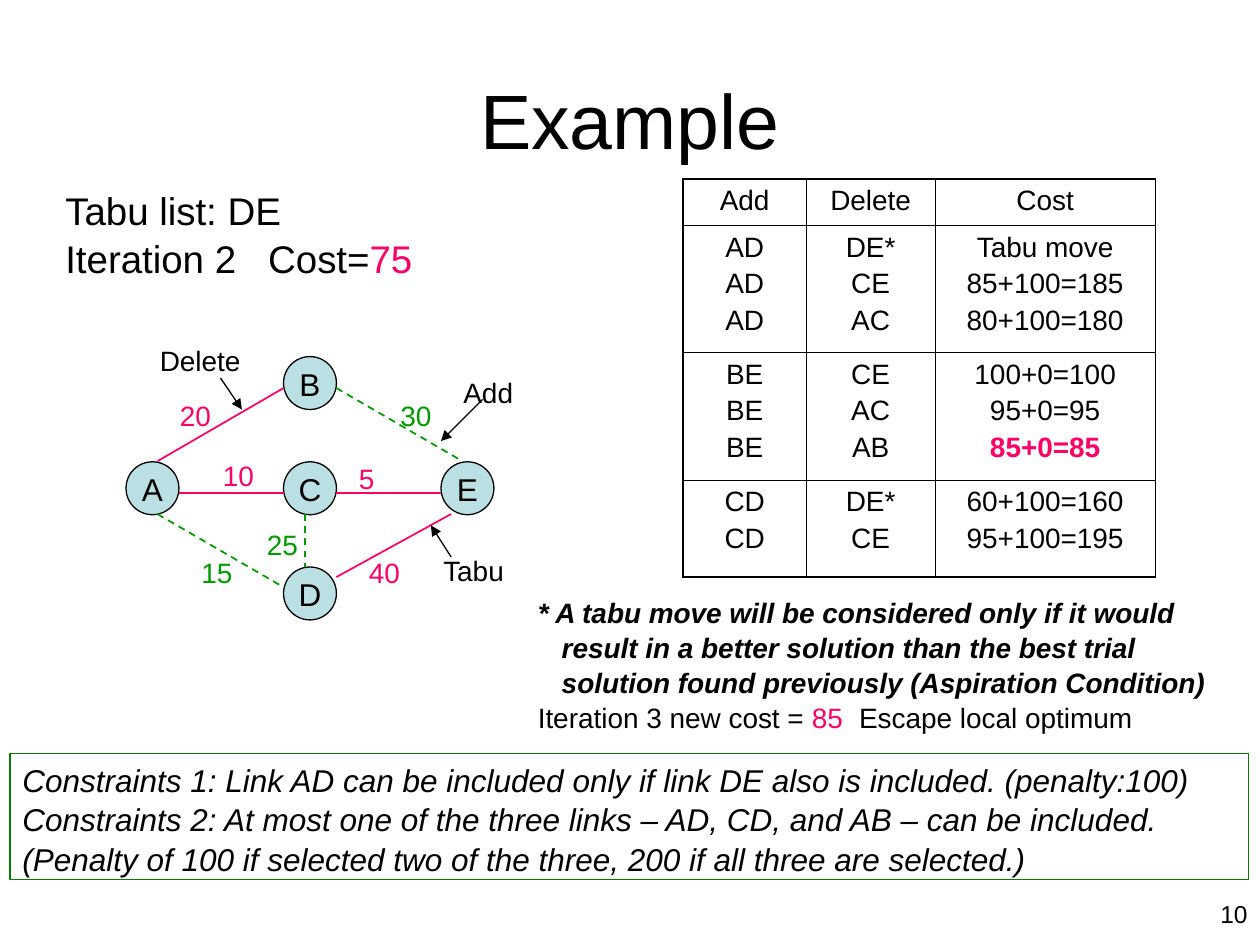
from dataclasses import dataclass

from lxml import etree
from pptx import Presentation
from pptx.dml.color import RGBColor
from pptx.enum import dml, shapes, text
from pptx.oxml import ns
from pptx.util import Inches, Pt


@dataclass(frozen=True)
class Theme:
    """Colours, type sizes and line widths of the slide."""
    font: str = "Arial"
    ink: str = "000000"
    active: str = "FF0066"
    unused: str = "009900"
    node: str = "BBE0E3"
    frame: str = "008000"
    title: float = 44
    status: float = 22
    body: float = 18
    label: float = 16
    number: float = 14
    line_spacing: float = 1.04
    thin: float = 0.75
    link: float = 1
    outer_border: float = 1.08
    inner_border: float = 0.45


THEME = Theme()


def rgb(value):
    """Turn a hex string into a colour."""
    return RGBColor.from_string(value)


def add_element(parent, tag, **attributes):
    """Append a DrawingML element."""
    return etree.SubElement(parent, ns.qn(tag), attributes)


def format_paragraph(paragraph, size, color=THEME.ink, bold=False, italic=False,
                     align=text.PP_ALIGN.LEFT, spacing=THEME.line_spacing):
    """Set the alignment, line spacing and font of a paragraph."""
    paragraph.alignment = align
    paragraph.line_spacing = spacing
    font = paragraph.font
    font.name, font.size = THEME.font, Pt(size)
    font.bold, font.italic = bold, italic
    font.color.rgb = rgb(color)


def add_runs(paragraph, parts):
    """Fill a paragraph with text, colouring the parts given as (text, colour)."""
    for part in parts:
        content, color = part if isinstance(part, tuple) else (part, None)
        run = paragraph.add_run()
        run.text = content
        if color:
            run.font.color.rgb = rgb(color)


def add_tab_stop(paragraph, position):
    """Give a paragraph one left tab stop."""
    tabs = add_element(paragraph._p.get_or_add_pPr(), "a:tabLst")
    add_element(tabs, "a:tab", pos=str(Inches(position)), algn="l")


def add_text_box(slide, left, top, width, height):
    """Add a wrapping text box and return its text frame."""
    box = slide.shapes.add_textbox(*map(Inches, (left, top, width, height)))
    box.text_frame.word_wrap = True
    return box.text_frame


def add_label(slide, content, box, size=THEME.label, color=THEME.ink, align=text.PP_ALIGN.LEFT):
    """Add a one-line text box."""
    paragraph = add_text_box(slide, *box).paragraphs[0]
    paragraph.text = content
    format_paragraph(paragraph, size, color, align=align)


def add_line(slide, start, end, color, width, dashed=False, arrow=False):
    """Draw a straight connector between two points."""
    line = slide.shapes.add_connector(
        shapes.MSO_CONNECTOR.STRAIGHT, *map(Inches, (*start, *end)))
    line.line.color.rgb = rgb(color)
    line.line.width = Pt(width)
    if dashed:
        line.line.dash_style = dml.MSO_LINE.DASH
    if arrow:
        add_element(line.line._get_or_add_ln(), "a:tailEnd", type="triangle")
    add_element(line._element.spPr, "a:effectLst")


def add_title(slide, box):
    """Place and format the slide title."""
    title = slide.shapes.title
    title.left, title.top, title.width, title.height = map(Inches, box)
    title.text_frame.text = "Example"
    title.text_frame.vertical_anchor = text.MSO_ANCHOR.MIDDLE
    format_paragraph(title.text_frame.paragraphs[0], THEME.title, align=text.PP_ALIGN.CENTER)


def add_status(slide, box):
    """Show the tabu list and the current cost."""
    frame = add_text_box(slide, *box)
    add_runs(frame.paragraphs[0], ["Tabu list: DE"])
    cost = frame.add_paragraph()
    add_runs(cost, ["Iteration 2\tCost=", ("75", THEME.active)])
    add_tab_stop(cost, 1.61)
    for paragraph in frame.paragraphs:
        format_paragraph(paragraph, THEME.status)


def add_node(slide, name, left, top, diameter):
    """Draw one lettered node."""
    node = slide.shapes.add_shape(
        shapes.MSO_SHAPE.OVAL, *map(Inches, (left, top, diameter, diameter)))
    node.shadow.inherit = False
    node.fill.solid()
    node.fill.fore_color.rgb = rgb(THEME.node)
    node.line.color.rgb = rgb(THEME.ink)
    node.line.width = Pt(THEME.thin)
    frame = node.text_frame
    frame.margin_left = frame.margin_right = frame.margin_top = frame.margin_bottom = 0
    frame.vertical_anchor = text.MSO_ANCHOR.MIDDLE
    frame.text = name
    format_paragraph(frame.paragraphs[0], THEME.body, align=text.PP_ALIGN.CENTER)


def add_network(slide, box):
    """Draw the network with its link costs and callouts."""
    left, top, width, height = box
    diameter = 0.42
    column_step, row_step = (width - diameter) / 2, (height - diameter) / 2

    def at(point):
        return left + point[0], top + point[1]

    grid = {"A": (0, 1), "B": (1, 0), "C": (1, 1), "D": (1, 2), "E": (2, 1)}
    for name, (column, row) in grid.items():
        add_node(slide, name, *at((column * column_step, row * row_step)), diameter)

    links = [
        ("20", (0.33, 0.27), (0.25, 0.83), (1.25, 0.25), True),
        ("10", (0.67, 0.75), (0.42, 1.08), (1.25, 1.08), True),
        ("5", (1.75, 0.77), (1.67, 1.08), (2.5, 1.08), True),
        ("40", (1.83, 1.52), (1.67, 1.75), (2.58, 1.25), True),
        ("15", (0.5, 1.52), (0.25, 1.25), (1.25, 1.83), False),
        ("30", (2.08, 0.27), (1.67, 0.25), (2.67, 0.83), False),
        ("25", (1.02, 1.3), (1.42, 1.25), (1.42, 1.67), False),
    ]
    for cost, place, start, end, active in links:
        color = THEME.active if active else THEME.unused
        add_line(slide, at(start), at(end), color, THEME.link, dashed=not active)
        add_label(slide, cost, (*at(place), 0.58, 0.37), color=color)

    callouts = [
        ("Delete", (0.17, -0.16), (0.75, 0.17), (0.92, 0.42)),
        ("Add", (2.58, 0.09), (2.83, 0.34), (2.5, 0.67)),
        ("Tabu", (2.42, 1.5), (2.58, 1.59), (2.42, 1.34)),
    ]
    for name, place, start, end in callouts:
        add_line(slide, at(start), at(end), THEME.ink, THEME.thin, arrow=True)
        add_label(slide, name, (*at(place), 1, 0.37))


def set_borders(cell, widths):
    """Set the left, right, top and bottom border widths of a cell."""
    properties = cell._tc.get_or_add_tcPr()
    for side, width in zip("LRTB", widths):
        border = add_element(properties, f"a:ln{side}", w=str(Pt(width)))
        add_element(add_element(border, "a:solidFill"), "a:srgbClr", val=THEME.ink)


def add_moves_table(slide, box):
    """List the candidate moves and their costs."""
    rows = [
        ("Add", "Delete", "Cost"),
        ("AD\nAD\nAD", "DE*\nCE\nAC", "Tabu move\n85+100=185\n80+100=180"),
        ("BE\nBE\nBE", "CE\nAC\nAB", "100+0=100\n95+0=95\n85+0=85"),
        ("CD\nCD", "DE*\nCE", "60+100=160\n95+100=195"),
    ]
    table = slide.shapes.add_table(len(rows), 3, *map(Inches, box)).table
    table.first_row = table.horz_banding = False
    for column, width in zip(table.columns, (0.98, 1.02, 1.75)):
        column.width = Inches(width)
    for row, height in zip(table.rows, (0.37, 1.01, 1.01, 0.77)):
        row.height = Inches(height)
    for r, values in enumerate(rows):
        for c, value in enumerate(values):
            cell = table.cell(r, c)
            edges = (c == 0, c == 2, r == 0, r == len(rows) - 1)
            set_borders(cell, [THEME.outer_border if edge else THEME.inner_border
                               for edge in edges])
            cell.fill.background()
            cell.text = value
            for index, paragraph in enumerate(cell.text_frame.paragraphs):
                best = paragraph.text == "85+0=85"
                paragraph.space_before = Pt(3.2 if index else 0)
                format_paragraph(paragraph, THEME.label, THEME.active if best else THEME.ink,
                                 bold=best, align=text.PP_ALIGN.CENTER, spacing=1)


def add_note(slide, box):
    """Explain the aspiration condition and the next cost."""
    frame = add_text_box(slide, *box)
    condition, result = frame.paragraphs[0], frame.add_paragraph()
    add_runs(condition, ["* A tabu move will be considered only if it would result in a better "
                         "solution than the best trial solution found previously "
                         "(Aspiration Condition)"])
    properties = condition._p.get_or_add_pPr()
    properties.set("marL", str(Inches(0.19)))
    properties.set("indent", str(Inches(-0.19)))
    format_paragraph(condition, THEME.label, bold=True, italic=True)
    add_runs(result, ["Iteration 3 new cost = ", ("85", THEME.active), "\tEscape local optimum"])
    add_tab_stop(result, 2.55)
    format_paragraph(result, THEME.label)


def add_constraints(slide, box):
    """Frame the constraints and their penalties."""
    panel = slide.shapes.add_shape(shapes.MSO_SHAPE.RECTANGLE, *map(Inches, box))
    panel.shadow.inherit = False
    panel.fill.background()
    panel.line.color.rgb = rgb(THEME.frame)
    panel.line.width = Pt(THEME.link)
    frame = panel.text_frame
    frame.vertical_anchor = text.MSO_ANCHOR.TOP
    frame.text = (
        "Constraints 1: Link AD can be included only if link DE also is included. (penalty:100)\n"
        "Constraints 2: At most one of the three links – AD, CD, and AB – can be included.\n"
        "(Penalty of 100 if selected two of the three, 200 if all three are selected.)")
    for paragraph in frame.paragraphs:
        format_paragraph(paragraph, THEME.body, italic=True)


def main():
    """Build and save the slide."""
    presentation = Presentation()
    presentation.slide_width, presentation.slide_height = Inches(10), Inches(7.5)
    slide = presentation.slides.add_slide(presentation.slide_layouts[5])
    add_title(slide, (0.5, 0.3, 9, 1.25))
    add_status(slide, (0.42, 1.42, 3.58, 0.84))
    add_network(slide, (1, 2.83, 2.92, 2.09))
    add_moves_table(slide, (5.42, 1.42, 3.75, 3.16))
    add_note(slide, (4.17, 4.67, 5.83, 1.33))
    add_constraints(slide, (0.08, 5.98, 9.83, 1))
    add_label(slide, "10", (8.83, 7.08, 1.17, 0.27), THEME.number, align=text.PP_ALIGN.RIGHT)
    presentation.save("out.pptx")


if __name__ == "__main__":
    main()
